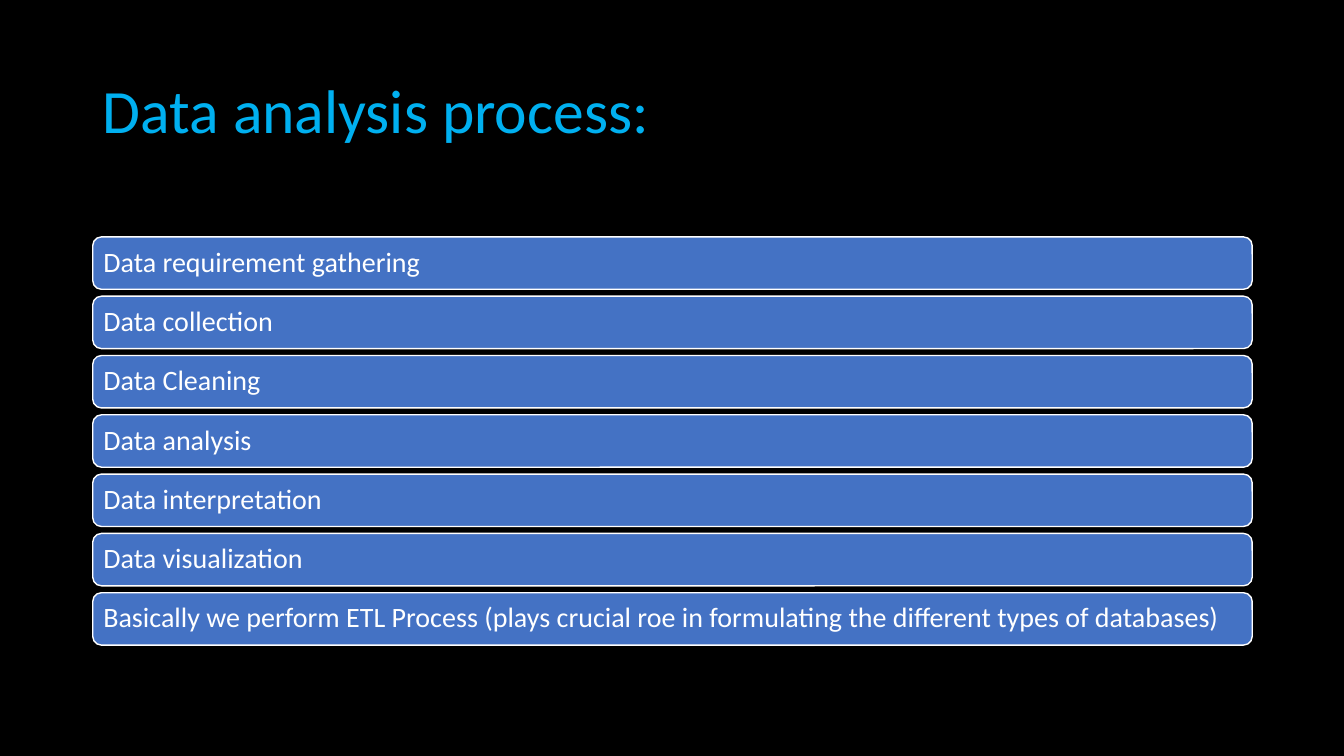
from dataclasses import dataclass

import pptx
import pptx.dml.color
import pptx.enum.shapes
import pptx.enum.text
import pptx.presentation
import pptx.shapes.base
import pptx.slide
import pptx.text.text
import pptx.util

Inches = pptx.util.Inches
RGB = pptx.dml.color.RGBColor


@dataclass(frozen=True)
class Theme:
    background: RGB = RGB.from_string("000000")
    heading: RGB = RGB.from_string("00B0F0")
    bar: RGB = RGB.from_string("4472C4")
    light: RGB = RGB.from_string("FFFFFF")
    font: str = "Calibri"
    heading_size: float = 44
    step_size: float = 20


@dataclass(frozen=True)
class ProcessStep:
    label: str
    top: float


THEME = Theme()
LEFT, WIDTH = 0.92, 11.5
BAR_HEIGHT = 0.52
FIRST_TOP, LAST_TOP = 2.35, 5.88
LABELS = (
    "Data requirement gathering",
    "Data collection",
    "Data Cleaning",
    "Data analysis",
    "Data interpretation",
    "Data visualization",
    "Basically we perform ETL Process (plays crucial roe in formulating "
    "the different types of databases)",
)
PITCH = (LAST_TOP - FIRST_TOP) / (len(LABELS) - 1)
STEPS = [ProcessStep(label, FIRST_TOP + i * PITCH) for i, label in enumerate(LABELS)]


def write_line(frame: pptx.text.text.TextFrame, wording: str, size: float, color: RGB) -> None:
    """Fill the frame with one left-aligned, vertically centred line."""
    frame.word_wrap = True
    frame.auto_size = pptx.enum.text.MSO_AUTO_SIZE.NONE
    frame.vertical_anchor = pptx.enum.text.MSO_ANCHOR.MIDDLE
    paragraph = frame.paragraphs[0]
    paragraph.alignment = pptx.enum.text.PP_ALIGN.LEFT
    paragraph.line_spacing = 0.9
    run = paragraph.add_run()
    run.text = wording
    run.font.name = THEME.font
    run.font.size = pptx.util.Pt(size)
    run.font.color.rgb = color


def add_heading(slide: pptx.slide.Slide, wording: str) -> None:
    heading = slide.shapes.title
    heading.left, heading.top = Inches(LEFT), Inches(0.4)
    heading.width, heading.height = Inches(WIDTH), Inches(1.45)
    write_line(heading.text_frame, wording, THEME.heading_size, THEME.heading)


def add_step(slide: pptx.slide.Slide, step: ProcessStep) -> None:
    bar = slide.shapes.add_shape(
        pptx.enum.shapes.MSO_SHAPE.ROUNDED_RECTANGLE,
        Inches(LEFT), Inches(step.top), Inches(WIDTH), Inches(BAR_HEIGHT),
    )
    bar.shadow.inherit = False
    bar.fill.solid()
    bar.fill.fore_color.rgb = THEME.bar
    bar.line.color.rgb = THEME.light
    bar.line.width = pptx.util.Pt(1)
    frame = bar.text_frame
    frame.margin_left = frame.margin_right = Inches(0.08)
    frame.margin_top = frame.margin_bottom = Inches(0.08)
    write_line(frame, step.label, THEME.step_size, THEME.light)


def main() -> None:
    deck = pptx.Presentation()
    deck.slide_width, deck.slide_height = Inches(13.33), Inches(7.5)
    title_only = deck.slide_layouts.get_by_name("Title Only")
    slide = deck.slides.add_slide(title_only)
    slide.background.fill.solid()
    slide.background.fill.fore_color.rgb = THEME.background
    add_heading(slide, "Data analysis process:")
    for step in STEPS:
        add_step(slide, step)
    deck.save("out.pptx")


if __name__ == "__main__":
    main()
